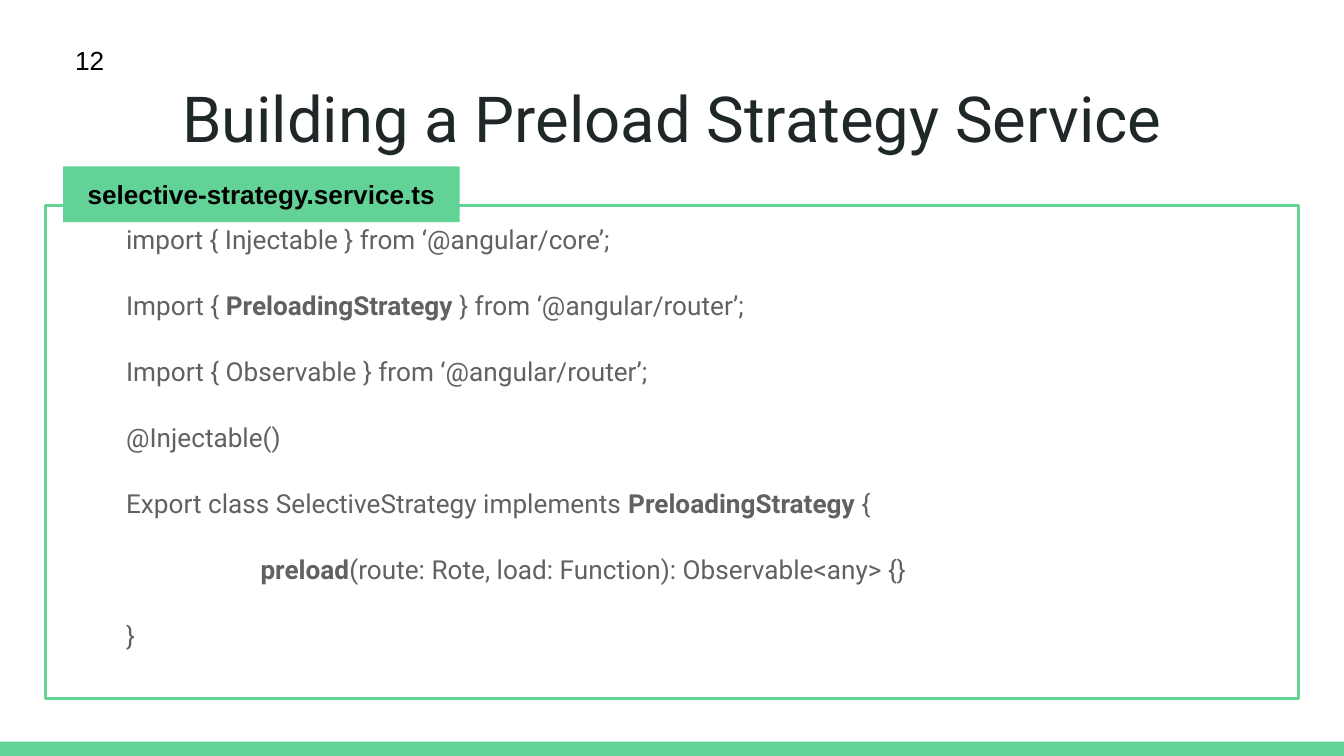
from pptx import Presentation
from pptx.dml.color import RGBColor
from pptx.enum.shapes import MSO_SHAPE
from pptx.enum.text import MSO_ANCHOR, MSO_AUTO_SIZE, PP_ALIGN
from pptx.util import Inches, Pt

GREEN = RGBColor(0x63, 0xD2, 0x97)
INK = RGBColor(0x20, 0x27, 0x29)
GRAY = RGBColor(0x61, 0x61, 0x61)
BLACK = RGBColor(0, 0, 0)

deck = Presentation()
deck.slide_width = Inches(10)
deck.slide_height = deck.slide_width * 9 // 16
col, row = deck.slide_width / 100, deck.slide_height / 100
slide = deck.slides.add_slide(deck.slide_layouts[5])


def place(left, top, wide, high):
    """Turn percent shares of the slide into lengths."""
    return int(left * col), int(top * row), int(wide * col), int(high * row)


def write(shape, *lines, font="Arial", size=14, color=BLACK, bold=False,
          align=PP_ALIGN.LEFT, anchor=MSO_ANCHOR.TOP, space=1, gap=0):
    """Fill a shape with (indent, text) lines; text between * marks is bold."""
    frame = shape.text_frame
    frame.word_wrap = True
    frame.auto_size = MSO_AUTO_SIZE.NONE
    frame.vertical_anchor = anchor
    frame.margin_left = frame.margin_right = Inches(0.1)
    frame.margin_top = frame.margin_bottom = Inches(0.1)
    for i, (indent, text) in enumerate(lines):
        para = frame.add_paragraph() if i else frame.paragraphs[0]
        props = para._p.get_or_add_pPr()
        props.set("marL", str(Inches(indent)))
        props.set("indent", "0")
        para.alignment = align
        para.line_spacing = space
        para.space_before = Pt(gap if i else 0)
        for j, part in enumerate(text.split("*")):
            if part:
                run = para.add_run()
                run.text = part
                run.font.name, run.font.size = font, Pt(size)
                run.font.bold = bold or j % 2 == 1
                run.font.color.rgb = color


title = slide.shapes.title
title.left, title.top, title.width, title.height = place(3.4, 8.7, 93.2, 11.2)
write(title, (0, "Building a Preload Strategy Service"), font="Roboto",
      size=34, color=INK, align=PP_ALIGN.CENTER)

rects = []
for area in ((0, 98.1, 100, 1.9), (3.4, 27.2, 93.2, 65.2), (4.7, 22, 29.5, 7.4)):
    rect = slide.shapes.add_shape(MSO_SHAPE.RECTANGLE, *place(*area))
    rect.shadow.inherit = False
    rect.fill.solid()
    rect.fill.fore_color.rgb = GREEN
    rect.line.fill.background()
    rects.append(rect)
stripe, code, tag = rects

code.fill.background()
code.line.color.rgb = GREEN
code.line.width = Pt(1.5)
write(code,
      (0.5, "import { Injectable } from ‘@angular/core’;"),
      (0.5, "Import { *PreloadingStrategy* } from ‘@angular/router’;"),
      (0.5, "Import { Observable } from ‘@angular/router’;"),
      (0.5, "@Injectable()"),
      (0.5, "Export class SelectiveStrategy implements *PreloadingStrategy* {"),
      (1.5, "*preload*(route: Rote, load: Function): Observable<any> {}"),
      (0.5, "}"),
      font="Roboto", color=GRAY, space=1.15, gap=16)

write(tag, (0, "selective-strategy.service.ts"), bold=True,
      align=PP_ALIGN.CENTER, anchor=MSO_ANCHOR.MIDDLE)

number = slide.shapes.add_textbox(*place(4.6, 4.1, 56.1, 11.6))
write(number, (0, "12"))

deck.save("out.pptx")
